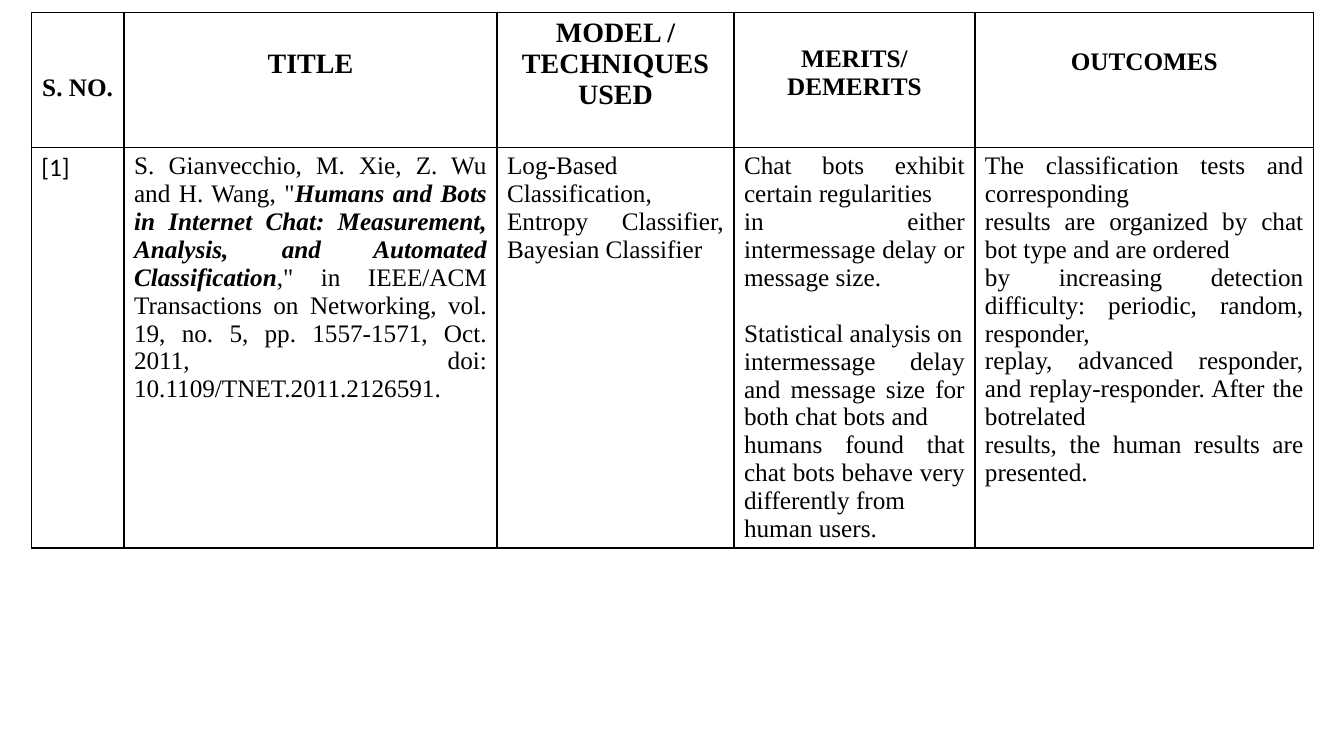
import pptx
import pptx.util
import pptx.dml.color
import pptx.enum.text
import pptx.oxml
import pptx.oxml.ns

BLACK = pptx.dml.color.RGBColor(0x00, 0x00, 0x00)
SERIF, SANS = "Times New Roman", "Calibri"
CENTER = pptx.enum.text.PP_ALIGN.CENTER
JUSTIFY = pptx.enum.text.PP_ALIGN.JUSTIFY
LEFT = pptx.enum.text.PP_ALIGN.LEFT
Inches, Pt = pptx.util.Inches, pptx.util.Pt

# Table grid, in inches
COLUMNS = [0.92, 3.7, 2.35, 2.39, 3.36]
ROWS = [1.34, 3.97]
LINE_GAP = Pt(20)


def write_paragraph(paragraph, runs, alignment, font_format):
    """Each run is a text with the font values that differ from font_format."""
    paragraph.alignment = alignment
    for text, changes in runs:
        run = paragraph.add_run()
        run.text = text
        run.font.color.rgb = BLACK
        for name, value in {**font_format, **changes}.items():
            setattr(run.font, name, value)


def style_cell(cell, margin_top):
    cell.margin_top = Inches(margin_top)
    properties = cell._tc.get_or_add_tcPr()
    for side in ("lnL", "lnR", "lnT", "lnB"):
        properties.append(pptx.oxml.parse_xml(
            f'<a:{side} {pptx.oxml.ns.nsdecls("a")} w="{Pt(1)}"><a:solidFill>'
            f'<a:srgbClr val="{BLACK}"/></a:solidFill></a:{side}>'))
    cell.fill.background()


presentation = pptx.Presentation()
presentation.slide_width = Inches(13.33)
presentation.slide_height = Inches(7.5)
slide = presentation.slides.add_slide(presentation.slide_layouts[6])

# Table frame
table = slide.shapes.add_table(
    len(ROWS), len(COLUMNS), Inches(0.31), Inches(0.12),
    Inches(sum(COLUMNS)), Inches(sum(ROWS))).table
table.first_row = table.horz_banding = False
for column, width in zip(table.columns, COLUMNS):
    column.width = Inches(width)
for row, height in zip(table.rows, ROWS):
    row.height = Inches(height)

# Header row: text, size, top margin
headers = [
    ("S. NO.", 18, 0.61),
    ("TITLE", 20, 0.36),
    ("MODEL / TECHNIQUES USED", 20, 0.05),
    ("MERITS/ DEMERITS", 18, 0.33),
    ("OUTCOMES", 18, 0.36),
]
for cell, (text, size, margin_top) in zip(table.rows[0].cells, headers):
    style_cell(cell, margin_top)
    write_paragraph(cell.text_frame.paragraphs[0], [(text, {})], CENTER,
                    {"name": SERIF, "size": Pt(size), "bold": True})

# Paper row: alignment, font, paragraphs of runs
citation = [
    ('S. Gianvecchio, M. Xie, Z. Wu and H. Wang, "', {}),
    ("Humans and Bots in Internet Chat: Measurement, Analysis, and Automated "
     "Classification", {"bold": True, "italic": True}),
    (',\" in IEEE/ACM Transactions on Networking, vol. 19, no. 5, '
     "pp. 1557-1571, Oct. 2011, doi: 10.1109/TNET.2011.2126591.", {}),
]
merits = [
    "Chat bots exhibit certain regularities",
    "in either intermessage delay or message size.",
    "Statistical analysis on",
    "intermessage delay and message size for both chat bots and",
    "humans found that chat bots behave very differently from",
    "human users.",
]
outcomes = [
    "The classification tests and corresponding",
    "results are organized by chat bot type and are ordered",
    "by increasing detection difficulty: periodic, random, responder,",
    "replay, advanced responder, and replay-responder. After the botrelated",
    "results, the human results are presented.",
]
techniques = "Log-Based Classification, Entropy Classifier, Bayesian Classifier"
paper = [
    (LEFT, SANS, [[("[1]", {})]]),
    (JUSTIFY, SERIF, [citation]),
    (JUSTIFY, SERIF, [[(techniques, {})]]),
    (JUSTIFY, SERIF, [[(text, {})] for text in merits]),
    (JUSTIFY, SERIF, [[(text, {})] for text in outcomes]),
]
for cell, (alignment, font_name, paragraphs) in zip(table.rows[1].cells, paper):
    style_cell(cell, 0.05)
    frame = cell.text_frame
    for index, runs in enumerate(paragraphs):
        paragraph = frame.add_paragraph() if index else frame.paragraphs[0]
        write_paragraph(paragraph, runs, alignment,
                        {"name": font_name, "size": Pt(18), "bold": False})

# Gap before the second merit
merits_frame = table.cell(1, 3).text_frame
merits_frame.paragraphs[2].space_before = LINE_GAP

presentation.save("out.pptx")
